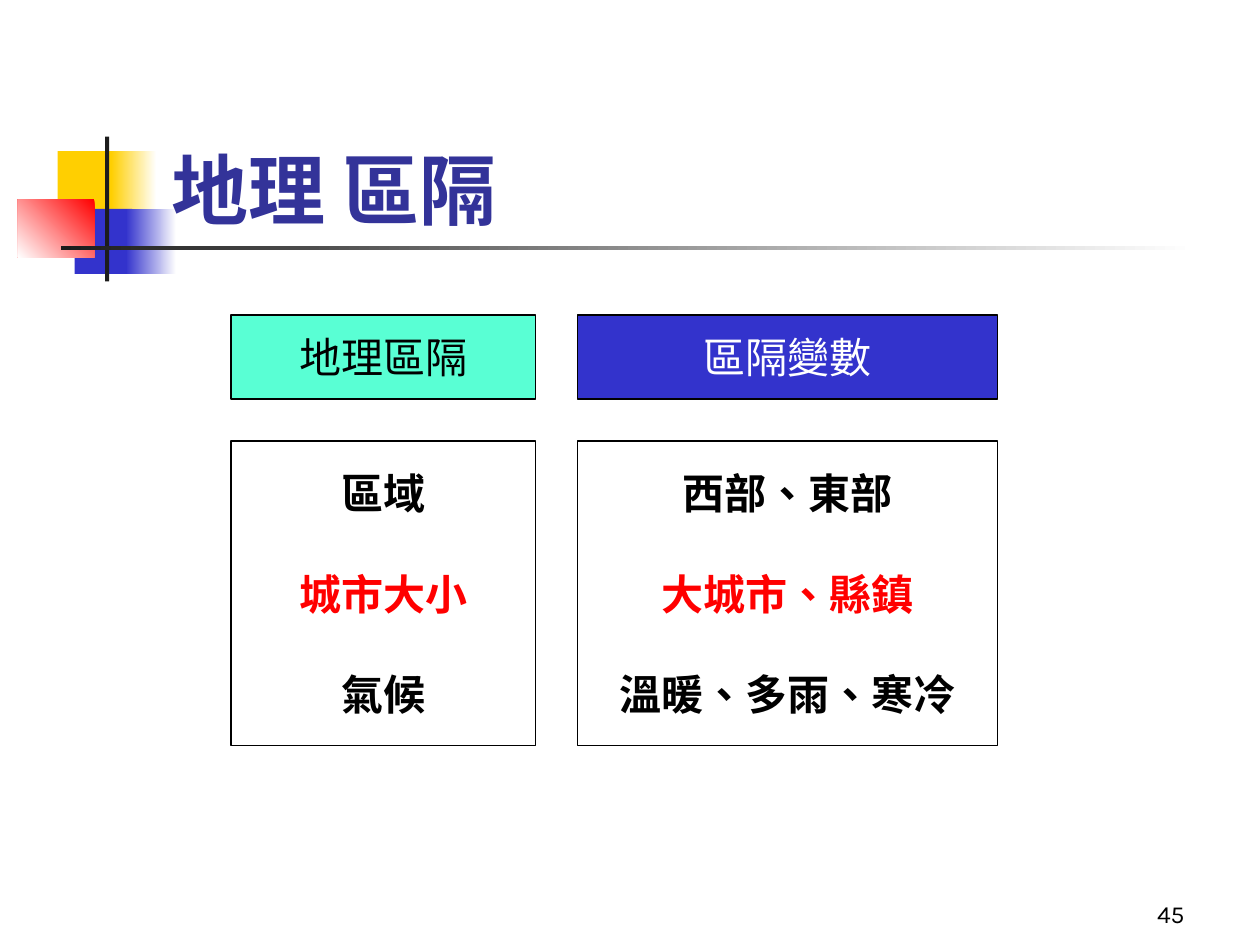
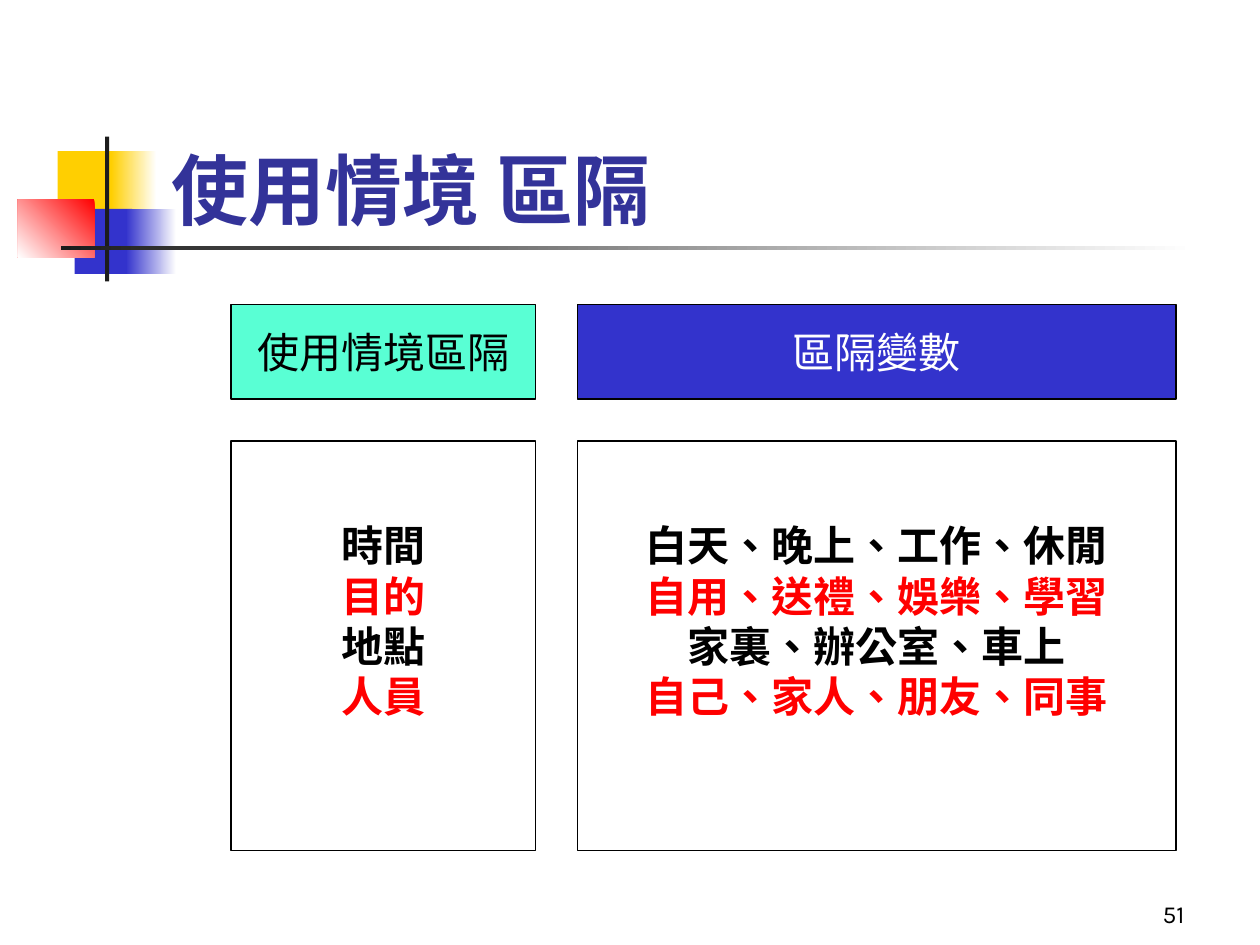
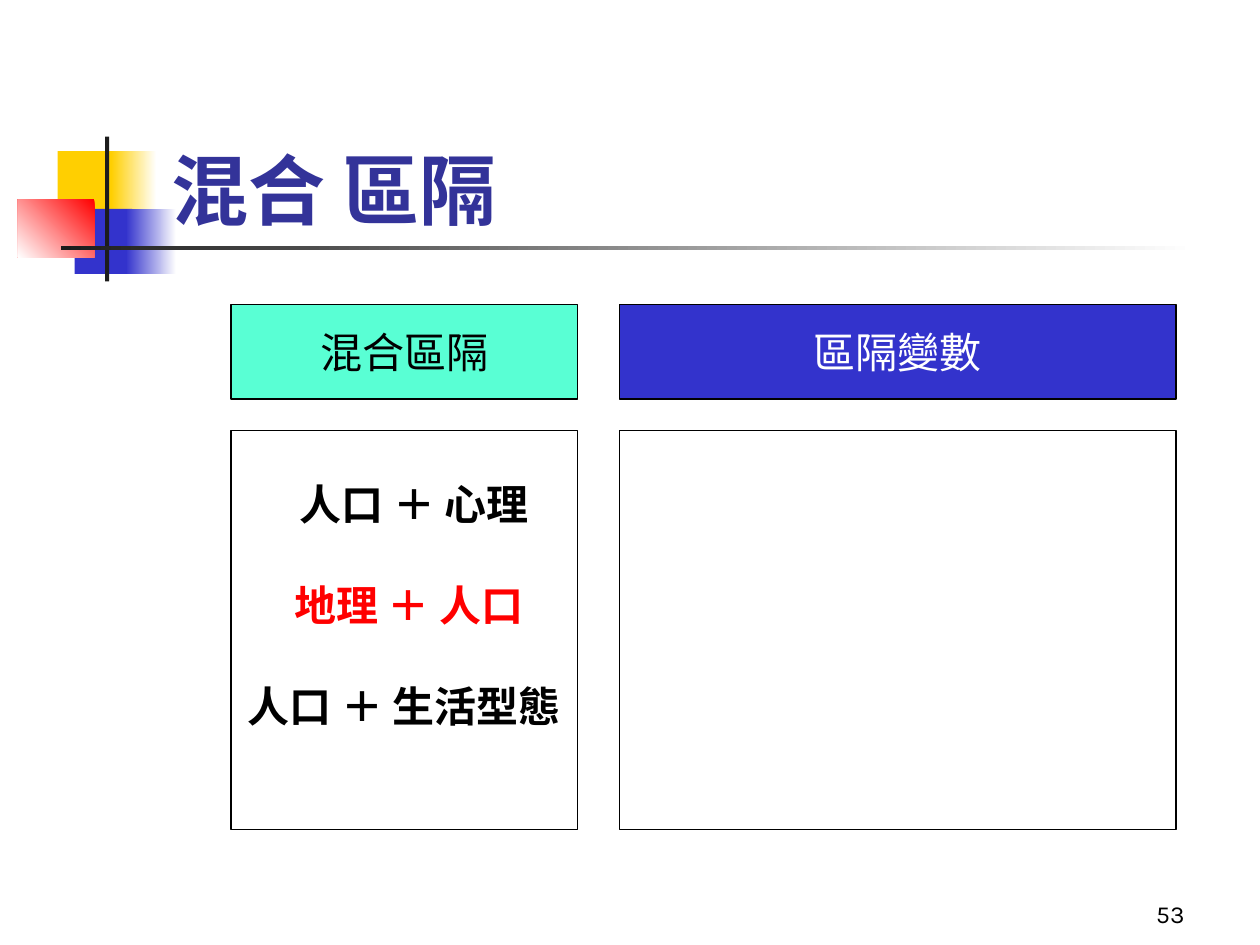
from pptx import Presentation
from pptx.dml.color import RGBColor
from pptx.enum.lang import MSO_LANGUAGE_ID
from pptx.enum.shapes import MSO_SHAPE
from pptx.enum.text import MSO_ANCHOR, MSO_AUTO_SIZE, PP_ALIGN
from pptx.util import Pt

RECT = MSO_SHAPE.RECTANGLE
MIDDLE, BOTTOM = MSO_ANCHOR.MIDDLE, MSO_ANCHOR.BOTTOM
LEFT, CENTER, RIGHT = PP_ALIGN.LEFT, PP_ALIGN.CENTER, PP_ALIGN.RIGHT
NO_AUTOFIT = MSO_AUTO_SIZE.NONE
CHINESE = MSO_LANGUAGE_ID.TRADITIONAL_CHINESE

BLACK = RGBColor(0x00, 0x00, 0x00)
WHITE = RGBColor(0xFF, 0xFF, 0xFF)
RED = RGBColor(0xFF, 0x00, 0x00)
YELLOW = RGBColor(0xFF, 0xCF, 0x01)
BLUE = RGBColor(0x33, 0x33, 0xCC)
MINT = RGBColor(0x59, 0xFF, 0xD4)
CHARCOAL = RGBColor(0x1C, 0x1C, 0x1C)
TITLE_BLUE = RGBColor(0x33, 0x33, 0x99)

TITLE_FONT, BODY_FONT = "Arial", "Karla"
BODY_SIZE = 24
LINE_PITCH = 28.7  # points taken by one line of body text

EMU_PER_PX = 7620  # 120 px to the inch
SLIDE_BOX = (0, 0, 1200, 900)
TITLE_BOX = (151, 80, 1022, 150)
NUMBER_BOX = (890, 830, 250, 60)
GRID_LEFT, COLUMN_GAP = 220, 40

# box, start colour, end colour (None for a plain fill), clockwise angle
ORNAMENT = [
    ((55, 144, 58, 62), YELLOW, None, 0),
    ((106, 144, 43, 62), WHITE, YELLOW, 180),
    ((71, 199, 55, 62), BLUE, None, 0),
    ((120, 199, 48, 62), WHITE, BLUE, 180),
    ((17, 190, 73, 55), RED, WHITE, 135),
    ((100, 130, 4, 138), CHARCOAL, None, 0),
    ((58, 234, 1080, 4), WHITE, CHARCOAL, 180),
]

# Each row is a text and its left indent in px; rows alternate black and red.
SLIDES = [
    dict(title="地理 區隔", number="45", heading="地理區隔",
         widths=(290, 400), head=(300, 80), body=(420, 290),
         blank_lines=1, lift=0,
         columns=([("區域", 0), ("城市大小", 0), ("氣候", 0)],
                  [("西部、東部", 0), ("大城市、縣鎮", 0), ("溫暖、多雨、寒冷", 0)])),
    dict(title="使用情境 區隔", number="51", heading="使用情境區隔",
         widths=(290, 570), head=(290, 90), body=(420, 390),
         blank_lines=0, lift=48,
         columns=([("時間", 0), ("目的", 0), ("地點", 0), ("人員", 0)],
                  [("白天、晚上、工作、休閒", 0), ("自用、送禮、娛樂、學習", 0),
                   ("家裏、辦公室、車上", 0), ("自己、家人、朋友、同事", 0)])),
    dict(title="混合 區隔", number="53", heading="混合區隔",
         widths=(330, 530), head=(290, 90), body=(410, 380),
         blank_lines=1, lift=48,
         columns=([("人口 ＋ 心理", 19), ("地理 ＋ 人口", 9), ("人口 ＋ 生活型態", 0)],
                  [])),
]


def px(n):
    return n * EMU_PER_PX


def emu(box):
    return [px(n) for n in box]


def add_run(p, text, color, size=BODY_SIZE, font=BODY_FONT, bold=False):
    r = p.add_run()
    r.text = text
    r.font.name = font
    r.font.size = Pt(size)
    r.font.bold = bold
    r.font.color.rgb = color
    r.font.language_id = CHINESE


def add_rect(slide, box, fill):
    """Filled rectangle without shadow or outline."""
    sp = slide.shapes.add_shape(RECT, *emu(box))
    sp.shadow.inherit = False
    sp.fill.solid()
    sp.fill.fore_color.rgb = fill
    sp.line.fill.background()
    return sp


def add_cell(slide, box, fill):
    """Outlined rectangle; returns its text frame, centred vertically."""
    sp = add_rect(slide, box, fill)
    sp.line.color.rgb = BLACK
    sp.line.width = Pt(0.75)
    tf = sp.text_frame
    tf.word_wrap = True
    tf.vertical_anchor = MIDDLE
    return tf


def add_ornament(slide, layout):
    """Draw the coloured squares and rules, then move them to the layout."""
    for box, start, end, angle in ORNAMENT:
        sp = add_rect(slide, box, start)
        if end is not None:
            sp.fill.gradient()
            sp.fill.gradient_angle = 360 - angle
            for stop, color in zip(sp.fill.gradient_stops, (start, end)):
                stop.color.rgb = color
        layout.shapes.element.append(sp.element)


def set_title(slide, text):
    title = slide.shapes.title
    title.left, title.top, title.width, title.height = emu(TITLE_BOX)
    tf = title.text_frame
    tf.auto_size = NO_AUTOFIT
    tf.vertical_anchor = BOTTOM
    p = tf.paragraphs[0]
    p.alignment = LEFT
    add_run(p, text, TITLE_BLUE, 44, TITLE_FONT, True)


def add_number(slide, number):
    tf = slide.shapes.add_textbox(*emu(NUMBER_BOX)).text_frame
    tf.word_wrap = True
    tf.vertical_anchor = BOTTOM
    p = tf.paragraphs[0]
    p.alignment = RIGHT
    add_run(p, number, BLACK, 14)


def add_heading(slide, box, text, fill, color):
    p = add_cell(slide, box, fill).paragraphs[0]
    p.alignment = CENTER
    add_run(p, text, color)


def add_rows(slide, box, rows, blank_lines, lift):
    """White cell of alternating rows, raised by half of lift."""
    tf = add_cell(slide, box, WHITE)
    tf.margin_bottom = px(6 + lift)
    for i, (text, indent) in enumerate(rows):
        p = tf.add_paragraph() if i else tf.paragraphs[0]
        p.alignment = CENTER
        if i and blank_lines:
            p.space_before = Pt(blank_lines * LINE_PITCH)
        if indent:
            p._p.get_or_add_pPr().set("marL", str(px(indent)))
        add_run(p, text, RED if i % 2 else BLACK, bold=True)


def add_segment_grid(slide, data):
    headings = ((data["heading"], MINT, BLACK), ("區隔變數", BLUE, WHITE))
    head_top, head_height = data["head"]
    body_top, body_height = data["body"]
    left = GRID_LEFT
    for heading, width, rows in zip(headings, data["widths"], data["columns"]):
        add_heading(slide, (left, head_top, width, head_height), *heading)
        add_rows(slide, (left, body_top, width, body_height), rows,
                 data["blank_lines"], data["lift"])
        left += width + COLUMN_GAP


def main():
    prs = Presentation()
    prs.slide_width, prs.slide_height = emu(SLIDE_BOX[2:])
    layout = prs.slide_layouts.get_by_name("Title Only")
    for i, data in enumerate(SLIDES):
        slide = prs.slides.add_slide(layout)
        if i == 0:
            add_ornament(slide, layout)
        set_title(slide, data["title"])
        add_segment_grid(slide, data)
        add_number(slide, data["number"])
    prs.save("out.pptx")


if __name__ == "__main__":
    main()
